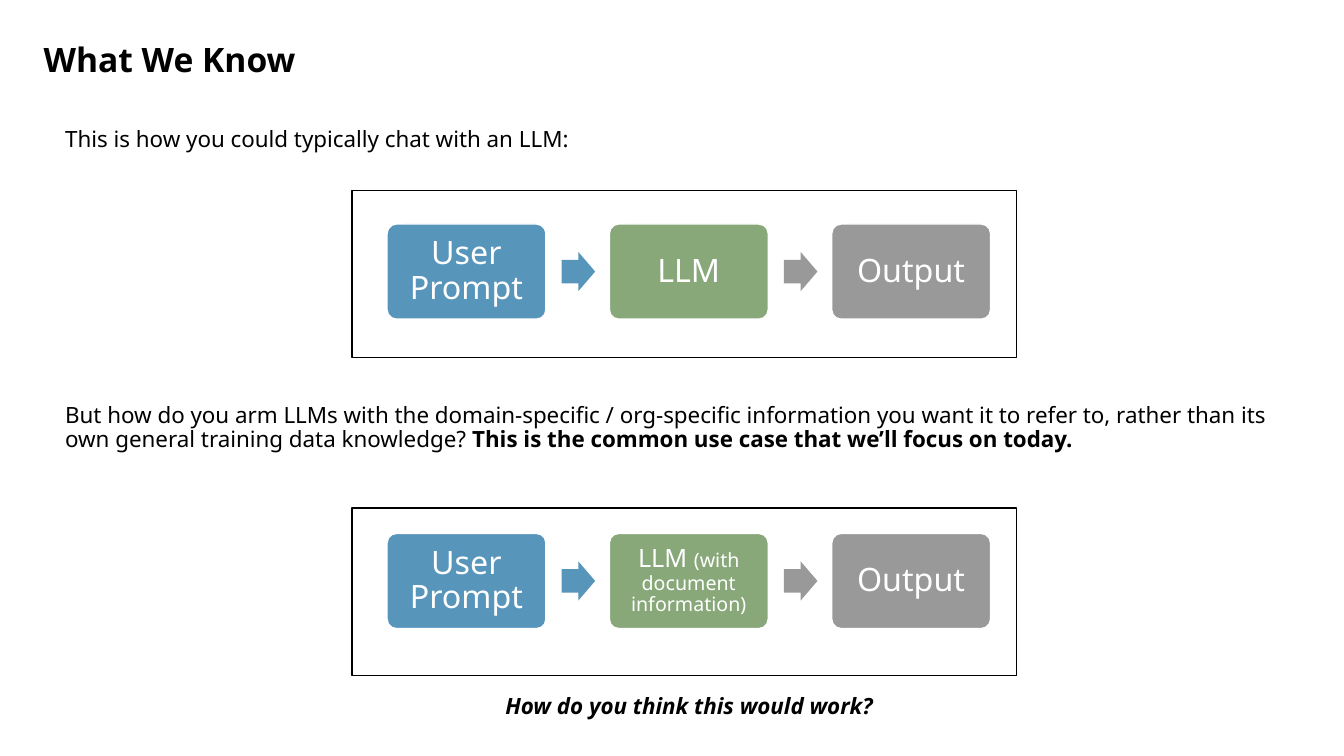
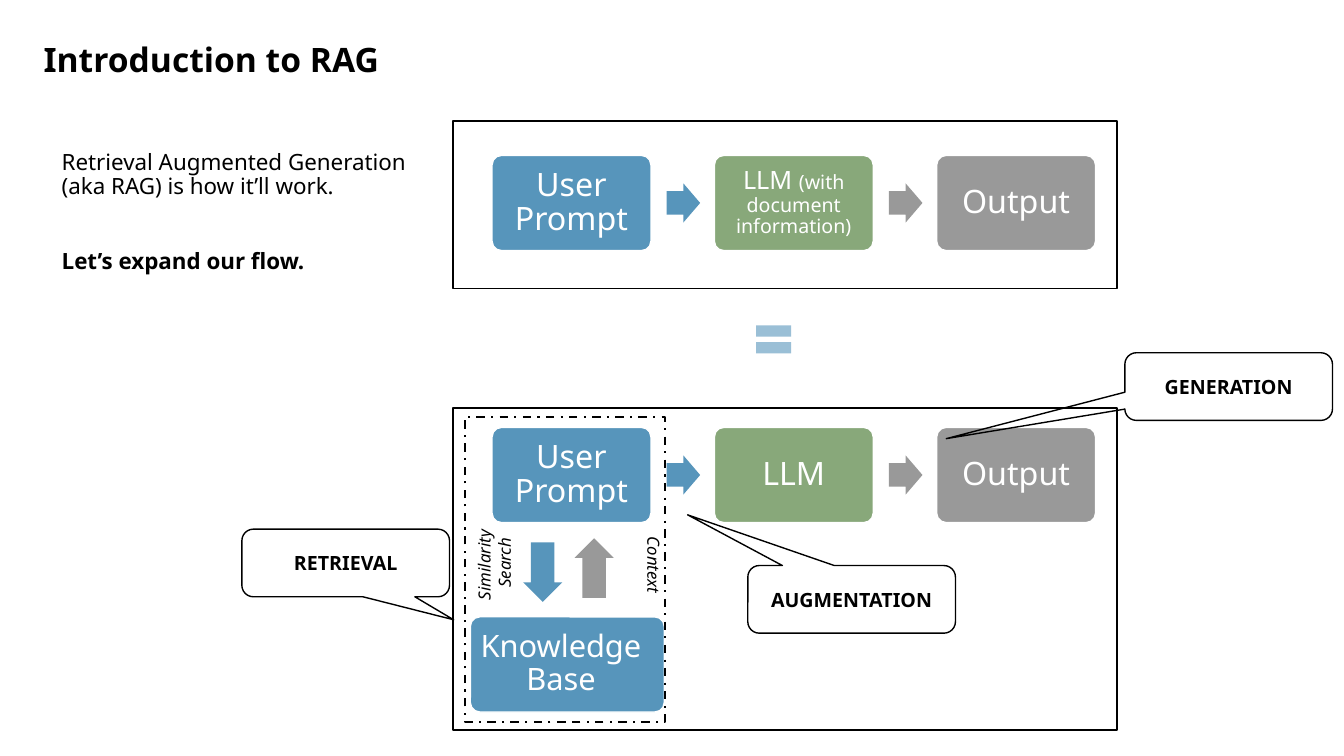
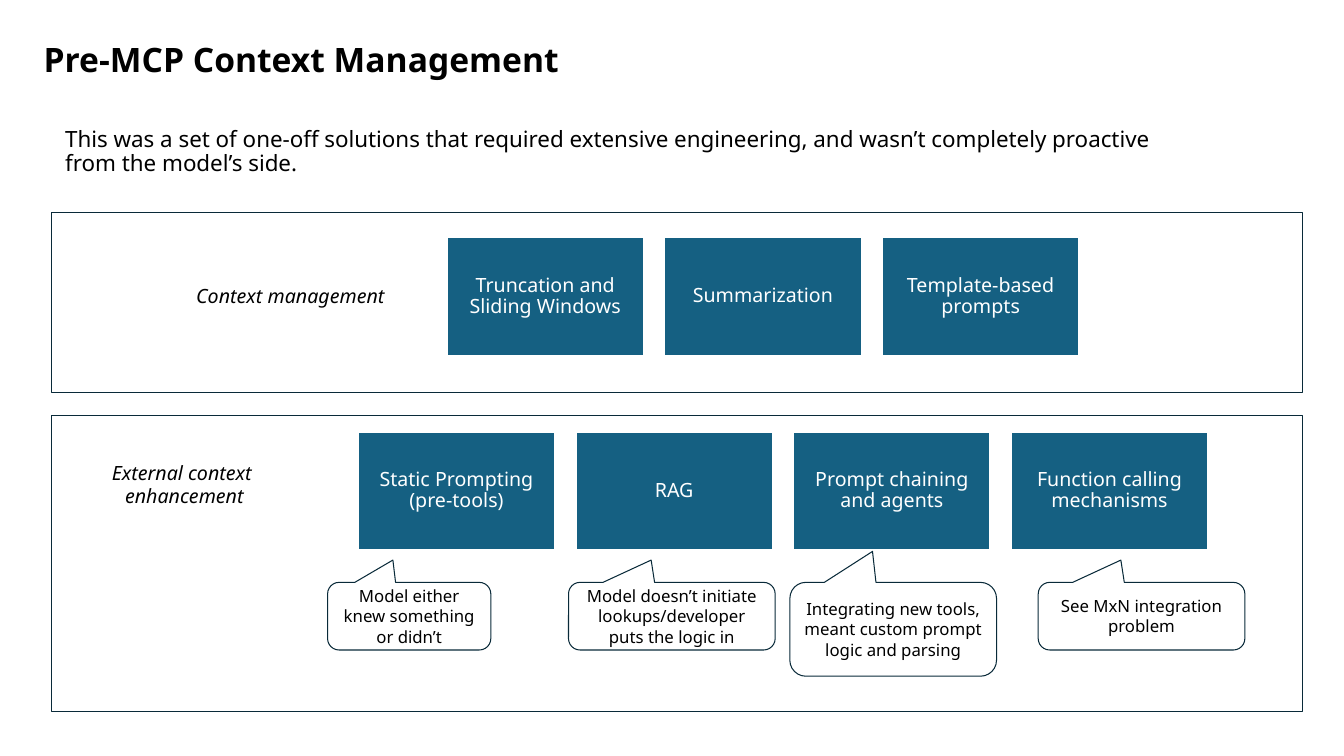
from pptx import Presentation
from pptx.dml.color import RGBColor
from pptx.enum import dml, shapes, text
from pptx.util import Pt

FONT = "Noto Sans"
BLACK = RGBColor(0x00, 0x00, 0x00)
WHITE = RGBColor(0xFF, 0xFF, 0xFF)
BLUE = RGBColor(0x57, 0x95, 0xBB)
PALE_BLUE = RGBColor(0x9A, 0xBF, 0xD6)
GREEN = RGBColor(0x88, 0xA8, 0x7A)
GRAY = RGBColor(0x99, 0x99, 0x99)
TEAL = RGBColor(0x15, 0x60, 0x82)
NAVY = RGBColor(0x09, 0x2A, 0x39)
KIND = shapes.MSO_SHAPE
CENTER = text.PP_ALIGN.CENTER
LEFT = text.PP_ALIGN.LEFT


def draw(slide, kind, at, fill=None, line=None, weight=1, adjust=()):
    """Add a preset shape, or a text box when kind is None; at is in points."""
    place = [Pt(length) for length in at]
    if kind is None:
        return slide.shapes.add_textbox(*place)
    shape = slide.shapes.add_shape(kind, *place)
    shape.shadow.inherit = False
    for index, value in enumerate(adjust):
        shape.adjustments[index] = value
    if fill is None:
        shape.fill.background()
    else:
        shape.fill.solid()
        shape.fill.fore_color.rgb = fill
    if line is None:
        shape.line.fill.background()
    else:
        shape.line.color.rgb = line
        shape.line.width = Pt(weight)
    return shape


def write(shape, *paragraphs, color=BLACK, align=CENTER, middle=False,
          sides=(7.2, 7.2), leading=1.0, gap=0):
    """Fill a shape with paragraphs, each a list of (text, size, style) runs."""
    frame = shape.text_frame
    frame.word_wrap = True
    frame.vertical_anchor = text.MSO_ANCHOR.MIDDLE if middle else text.MSO_ANCHOR.TOP
    frame.margin_left, frame.margin_right = [Pt(side) for side in sides]
    for index, runs in enumerate(paragraphs):
        paragraph = frame.add_paragraph() if index else frame.paragraphs[0]
        paragraph.alignment = align
        paragraph.line_spacing = leading
        if index:
            paragraph.space_before = Pt(gap)
        for words, size, style in runs:
            run = paragraph.add_run()
            run.text = words
            run.font.name = FONT
            run.font.size = Pt(size)
            run.font.bold = "b" in style
            run.font.italic = "i" in style
            run.font.color.rgb = color


deck = Presentation()
deck.slide_width, deck.slide_height = Pt(960), Pt(540)

# Titles
known, rag, pre_mcp = [deck.slides.add_slide(deck.slide_layouts[6]) for _ in range(3)]
for slide, title in ((known, "What We Know"),
                     (rag, "Introduction to RAG"),
                     (pre_mcp, "Pre-MCP Context Management")):
    write(draw(slide, None, (24, 24, 924, 36)), [(title, 24, "b")], align=LEFT)

# Body text
intro_at = (39.5, 88, 821.5, 41)
for slide, at, paragraphs in (
    (known, intro_at, [[("This is how you could typically chat with an LLM:", 16, "")]]),
    (known, (39.5, 285, 884, 41), [[
        ("But how do you arm LLMs with the domain-specific / org-specific information you "
         "want it to refer to, rather than its own general training data knowledge? ", 16, ""),
        ("This is the common use case that we’ll focus on today.", 16, "b")]]),
    (rag, (37, 104.5, 276.5, 84), [
        [("Retrieval Augmented Generation (aka RAG) is how it’ll work.", 16, "")],
        [("Let’s expand our flow.", 16, "b")]]),
    (pre_mcp, intro_at, [[
        ("This was a set of one-off solutions that required extensive engineering, and "
         "wasn’t completely proactive from the model’s side.", 16, "")]]),
):
    write(draw(slide, None, at), *paragraphs, align=LEFT, leading=0.9, gap=36)

# Prompt, LLM, output flows
STEP_W, STEP_H, STEP_PITCH = 113.5, 68, 158.8
plain_llm = [("LLM", 23, "")]
informed_llm = [("LLM ", 18, ""), ("(with document information)", 14, "")]
for slide, left, top, llm in ((known, 276.5, 160, plain_llm),
                              (known, 276.5, 381, informed_llm),
                              (rag, 351.5, 111, informed_llm),
                              (rag, 351.5, 305.3, plain_llm)):
    steps = (([("User Prompt", 23, "")], BLUE, BLUE),
             (llm, GREEN, GRAY),
             ([("Output", 23, "")], GRAY, None))
    for index, (runs, fill, arrow_fill) in enumerate(steps):
        x = left + index * STEP_PITCH
        step = draw(slide, KIND.ROUNDED_RECTANGLE, (x, top, STEP_W, STEP_H),
                    fill, WHITE, adjust=[0.1])
        side = 7 if runs is informed_llm else 9
        write(step, runs, color=WHITE, middle=True, sides=(side, side), leading=0.9)
        if arrow_fill is not None:
            draw(slide, KIND.RIGHT_ARROW, (x + 124.6, top + 20, 24, 28),
                 arrow_fill, adjust=[0.6, 0.5])

# Frames
for slide, at, color, weight in ((known, (251.5, 136, 474.5, 119.5), BLACK, 1),
                                 (known, (251.5, 363, 474.5, 119.5), BLACK, 1),
                                 (rag, (323.5, 86.5, 474.5, 119.5), BLACK, 1),
                                 (rag, (323.5, 291.5, 474.5, 230), BLACK, 1),
                                 (pre_mcp, (37, 152, 893.5, 128), NAVY, 0.5),
                                 (pre_mcp, (37, 297, 893.5, 211), NAVY, 0.5)):
    draw(slide, KIND.RECTANGLE, at, line=color, weight=weight)

# Italic labels
for slide, at, turn, size, style, lines in (
    (known, (251.5, 491, 481.5, 26.5), 0, 16, "bi", ["How do you think this would work?"]),
    (rag, (316, 384, 74, 36), 270, 12, "i", ["Similarity ", "Search"]),
    (rag, (437, 393, 60.5, 21.5), 90, 12, "i", ["Context"]),
    (pre_mcp, (125.5, 199.5, 164, 24.5), 0, 14, "i", ["Context management"]),
    (pre_mcp, (65.5, 325.5, 132.5, 41), 0, 14, "i", ["External context ", "enhancement"]),
):
    label = draw(slide, None, at)
    label.rotation = turn
    write(label, *[[(line, size, style)] for line in lines])

# Retrieval loop
draw(rag, KIND.MATH_EQUAL, (535.7, 225.4, 34, 34), PALE_BLUE)
draw(rag, KIND.DOWN_ARROW, (373.7, 387.4, 28, 42.5), BLUE, adjust=[0.6, 0.5])
draw(rag, KIND.UP_ARROW, (410.4, 384.5, 28, 42.5), GRAY, adjust=[0.6, 0.5])
knowledge_base = draw(rag, KIND.ROUNDED_RECTANGLE, (336, 440.6, 138.5, STEP_H),
                      BLUE, WHITE, adjust=[0.1])
write(knowledge_base, [("Knowledge Base", 22, "")], color=WHITE, middle=True,
      sides=(4, 13), leading=0.9)
retrieval_area = draw(rag, KIND.RECTANGLE, (332, 298, 143.3, 217.5), line=BLACK, weight=1.5)
retrieval_area.line.dash_style = dml.MSO_LINE.DASH_DOT

# Techniques
TECHNIQUE_PITCH = 155.5
for left, top, techniques in (
    (319, 169.2, ["Truncation and Sliding Windows", "Summarization",
                  "Template-based prompts"]),
    (255.6, 308.2, ["Static Prompting (pre-tools)", "RAG", "Prompt chaining and agents",
                    "Function calling mechanisms"]),
):
    for index, name in enumerate(techniques):
        technique = draw(pre_mcp, KIND.RECTANGLE,
                         (left + index * TECHNIQUE_PITCH, top, 141, 85), TEAL, WHITE, 1.5)
        write(technique, [(name, 14, "")], color=WHITE, middle=True,
              sides=(4.3, 4.3), leading=0.9)

# Callouts
stages = [(rag, (left, top, 148.3, 48.3), tip, BLACK, 1, (name, 14, "b"))
          for left, top, tip, name in ((172.8, 378, (0.52, 0.84), "RETRIEVAL"),
                                       (534.2, 404, (-0.79, -1.25), "AUGMENTATION"),
                                       (803.5, 252, (-1.36, 0.77), "GENERATION"))]
limits = [(pre_mcp, (left, 416, width, height), (-0.1, -0.83), NAVY, 0.75, (note, 12, ""))
          for left, width, height, note in (
              (234, 116.6, 48.3, "Model either knew something or didn’t"),
              (406.1, 147.6, 48.3, "Model doesn’t initiate lookups/developer puts the logic in"),
              (564.2, 147.6, 67, "Integrating new tools, meant custom prompt logic and parsing"),
              (741.6, 147.6, 48.3, "See MxN integration problem"))]
for slide, at, tip, color, weight, run in stages + limits:
    callout = draw(slide, KIND.ROUNDED_RECTANGULAR_CALLOUT, at, line=color, weight=weight,
                   adjust=[*tip, 0.17])
    write(callout, [run], middle=True)

deck.save("out.pptx")
